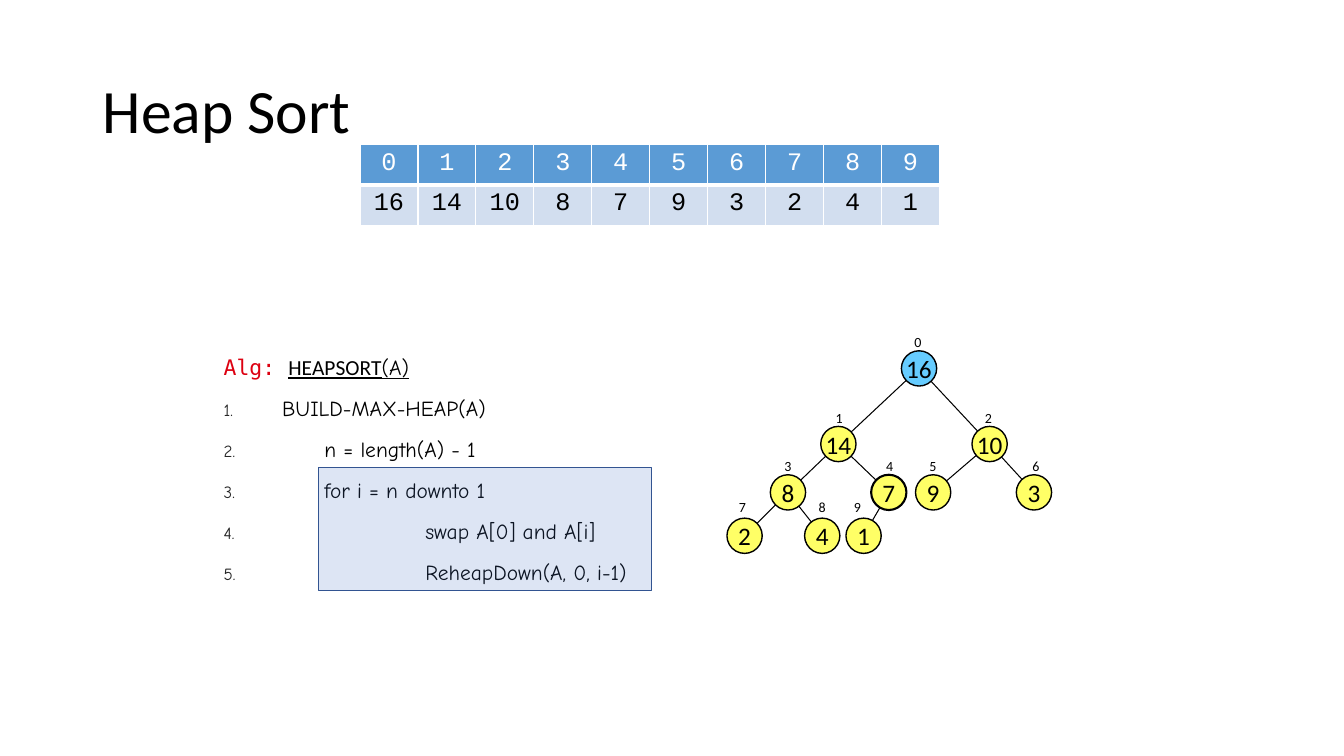
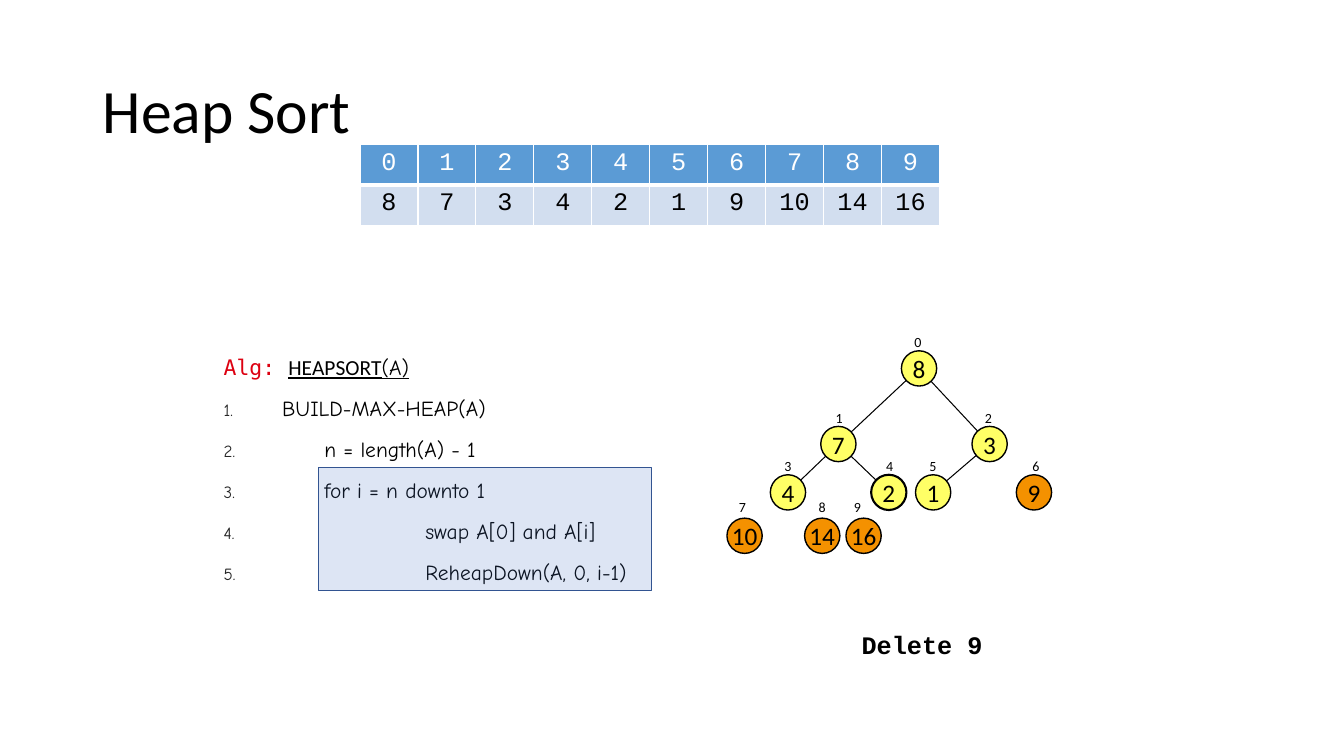
import lxml.etree
import pptx
import pptx.dml.color
import pptx.enum.shapes
import pptx.enum.text
import pptx.oxml.ns
import pptx.util

Inches = pptx.util.Inches
Pt = pptx.util.Pt
qn = pptx.oxml.ns.qn
ANCHOR = pptx.enum.text.MSO_ANCHOR
ALIGN = pptx.enum.text.PP_ALIGN
SHAPE = pptx.enum.shapes.MSO_SHAPE

NODE_SIZE = 0.35
# Top of the nodes and of their index labels, for each level of the tree
LEVEL_TOPS = [(3.48, 3.26), (4.23, 4.01), (4.71, 4.49), (5.14, 4.9)]
# Left of each node and of its index label, in heap order
NODE_LEFTS = [(8.94, 8.97), (8.14, 8.19), (9.64, 9.67), (7.64, 7.68), (8.64, 8.69),
              (9.08, 9.12), (10.08, 10.14), (7.21, 7.23), (7.98, 8.02), (8.39, 8.37)]
OUTLINED_NODE = 4

# Indent and text of each numbered step
STEPS = [(0.58, "BUILD-MAX-HEAP(A)"),
         (1, "n = length(A) - 1"),
         (1, "for i = n downto 1"),
         (2, "swap A[0] and A[i]"),
         (2, "ReheapDown(A, 0, i-1)")]


def color(hex_value):
    return pptx.dml.color.RGBColor.from_string(hex_value)


def child(parent, tag, **attributes):
    return lxml.etree.SubElement(parent, qn(tag), attributes)


def add_text(para, text, font="Calibri", size=18, ink="000000", bold=False,
             underline=False, align=None):
    """Append a formatted run to a paragraph."""
    span = para.add_run()
    span.text = text
    span.font.name = font
    span.font.size = Pt(size)
    span.font.bold = bold
    span.font.underline = underline
    span.font.color.rgb = color(ink)
    if align is not None:
        para.alignment = align


def node_place(index):
    """Return left and top of a heap node."""
    return NODE_LEFTS[index][0], LEVEL_TOPS[level(index)][0]


def node_center(index):
    return [Inches(edge + NODE_SIZE / 2) for edge in node_place(index)]


def level(index):
    return (index + 1).bit_length() - 1


class HeapDeck:
    """Holds the style and the current slide."""
    black, white = "000000", "FFFFFF"
    header, body = "5B9BD5", "D2DEEF"
    in_heap, root, is_sorted = "FFFF66", "66CCFF", "F49100"
    alert, number = "DD0111", "262626"
    frame, frame_line = "4472C4", "325491"
    mono, hand = "Courier New", "Comic Neue"

    def __init__(self):
        self.deck = pptx.Presentation()
        self.deck.slide_width = Inches(13.33)
        self.deck.slide_height = Inches(7.5)

    def new_page(self, title):
        self.page = self.deck.slides.add_slide(self.deck.slide_layouts[6])
        frame = self.text_box(0.92, 0.4, 11.5, 1.45)
        frame.vertical_anchor = ANCHOR.MIDDLE
        frame.paragraphs[0].line_spacing = 0.9
        add_text(frame.paragraphs[0], title, size=44)

    def text_box(self, left, top, width, height, wrap=True):
        box = self.page.shapes.add_textbox(
            Inches(left), Inches(top), Inches(width), Inches(height))
        box.text_frame.word_wrap = wrap
        return box.text_frame

    def shape(self, kind, left, top, width, height, fill, line, weight=1):
        shape = self.page.shapes.add_shape(
            kind, Inches(left), Inches(top), Inches(width), Inches(height))
        shape.shadow.inherit = False
        shape.fill.solid()
        shape.fill.fore_color.rgb = color(fill)
        shape.line.color.rgb = color(line)
        shape.line.width = Pt(weight)
        return shape

    def edge(self, index):
        """Join a node to its parent."""
        line = self.page.shapes.add_connector(
            pptx.enum.shapes.MSO_CONNECTOR.STRAIGHT,
            *node_center(index), *node_center((index - 1) // 2))
        line.line.color.rgb = color(self.black)
        line.line.width = Pt(0.75)
        child(line._element.spPr, "a:effectLst")

    def node(self, index, value, fill):
        weight = 1.5 if index == OUTLINED_NODE else 1
        circle = self.shape(SHAPE.OVAL, *node_place(index), NODE_SIZE, NODE_SIZE,
                            fill, self.black, weight)
        frame = circle.text_frame
        frame.word_wrap = False
        frame.vertical_anchor = ANCHOR.MIDDLE
        add_text(frame.paragraphs[0], str(value), align=ALIGN.CENTER)

    def node_label(self, index):
        frame = self.text_box(NODE_LEFTS[index][1], LEVEL_TOPS[level(index)][1],
                              0.28, 0.27, wrap=False)
        add_text(frame.paragraphs[0], str(index), size=10)

    def tree(self, values, heap_size, root_fill):
        for index in range(1, heap_size):
            self.edge(index)
        for index, value in enumerate(values):
            fill = self.in_heap if index < heap_size else self.is_sorted
            self.node(index, value, fill if index else root_fill)
            self.node_label(index)

    def array_table(self, values):
        table = self.page.shapes.add_table(
            2, len(values), Inches(3.57), Inches(1.43), Inches(5.75), Inches(0.81)).table
        table.horz_banding = False
        rows = [(range(len(values)), self.header, self.white, 3),
                (values, self.body, self.black, 1)]
        for row, (numbers, fill, ink, bottom) in enumerate(rows):
            for column, number in enumerate(numbers):
                cell = table.cell(row, column)
                self.cell_borders(cell, top=3 if row else 1, bottom=bottom)
                cell.fill.solid()
                cell.fill.fore_color.rgb = color(fill)
                add_text(cell.text_frame.paragraphs[0], str(number), font=self.mono,
                         ink=ink, align=ALIGN.CENTER)

    def cell_borders(self, cell, top, bottom):
        properties = cell._tc.get_or_add_tcPr()
        for side, weight in (("L", 1), ("R", 1), ("T", top), ("B", bottom)):
            line = child(properties, f"a:ln{side}", w=str(Pt(weight)))
            child(child(line, "a:solidFill"), "a:srgbClr", val=self.white)

    def algorithm(self):
        frame = self.text_box(2.12, 3.44, 5.83, 2.42)
        heading = frame.paragraphs[0]
        heading.line_spacing = 1.1
        add_text(heading, "Alg: ", font="DejaVu Sans Mono", size=15.3, ink=self.alert)
        add_text(heading, "HEAPSORT", size=15.3, underline=True)
        add_text(heading, "(A)", font=self.hand, size=15.3, underline=True)
        for indent, text in STEPS:
            para = frame.add_paragraph()
            para.line_spacing = 1.1
            para.space_before = Pt(9)
            self.numbering(para, indent)
            add_text(para, text, font=self.hand, size=15.3)

    def numbering(self, para, indent):
        properties = para._p.get_or_add_pPr()
        properties.set("marL", str(Inches(indent)))
        properties.set("indent", str(-Inches(indent)))
        child(child(properties, "a:buClr"), "a:srgbClr", val=self.number)
        child(properties, "a:buSzPct", val="80000")
        child(properties, "a:buFont", typeface=self.hand)
        child(properties, "a:buAutoNum", type="arabicPeriod")

    def loop_highlight(self):
        """Lay a see-through frame over the loop of the algorithm."""
        frame = self.shape(SHAPE.RECTANGLE, 3.16, 4.64, 3.3, 1.22,
                           self.frame, self.frame_line)
        tint = frame._element.spPr.find(qn("a:solidFill")).find(qn("a:srgbClr"))
        child(tint, "a:alpha", val="18000")

    def caption(self, text):
        frame = self.text_box(8.18, 6.19, 1.93, 0.4)
        add_text(frame.paragraphs[0], text, font=self.mono, bold=True,
                 align=ALIGN.CENTER)

    def heap_page(self, values, heap_size, root_fill, caption=None):
        self.new_page("Heap Sort")
        self.tree(values, heap_size, root_fill)
        self.array_table(values)
        if caption:
            self.caption(caption)
        self.algorithm()
        self.loop_highlight()


def main():
    slides = HeapDeck()
    slides.heap_page([16, 14, 10, 8, 7, 9, 3, 2, 4, 1], 10, slides.root)
    slides.heap_page([8, 7, 3, 4, 2, 1, 9, 10, 14, 16], 6, slides.in_heap, "Delete 9")
    slides.deck.save("out.pptx")


if __name__ == "__main__":
    main()
